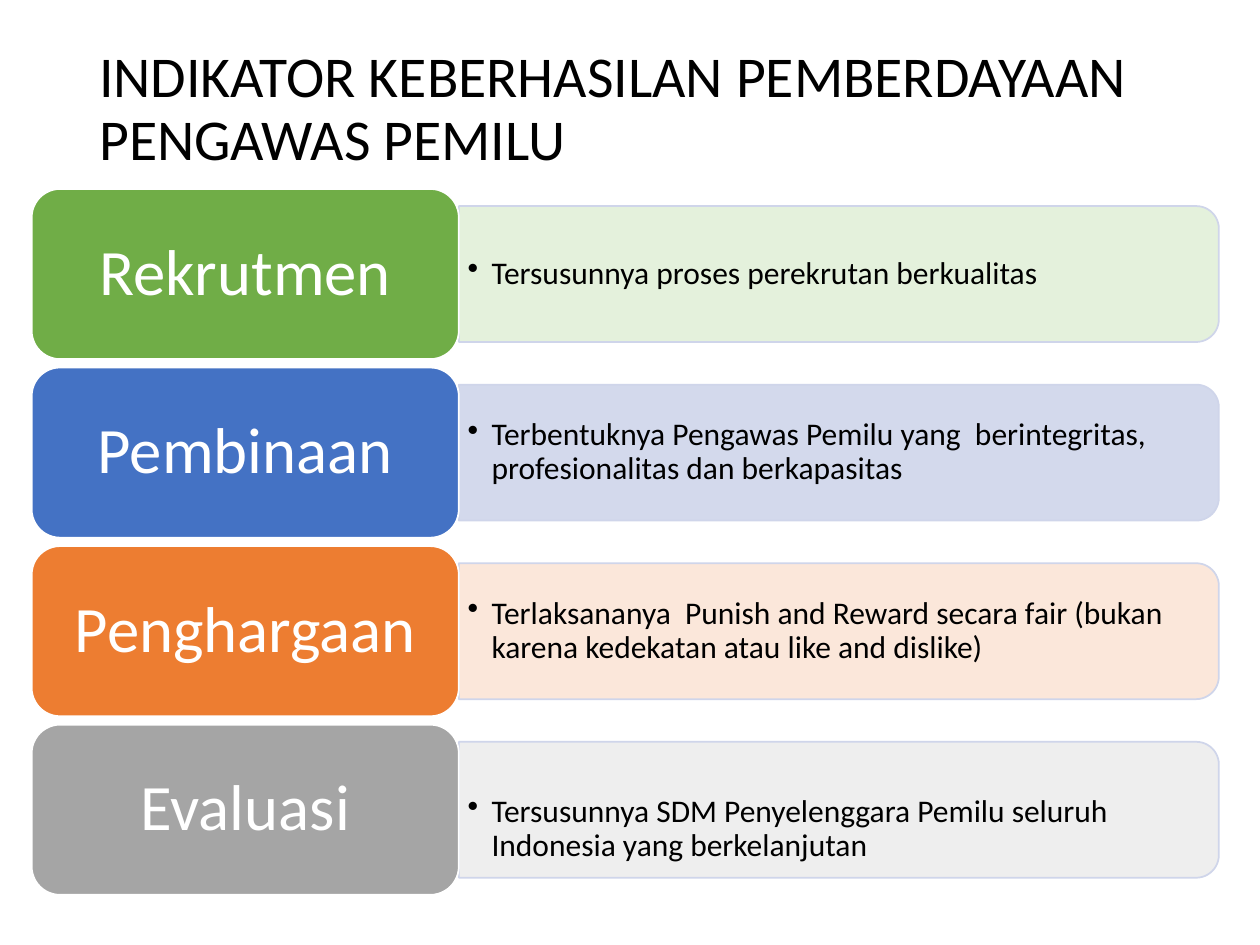
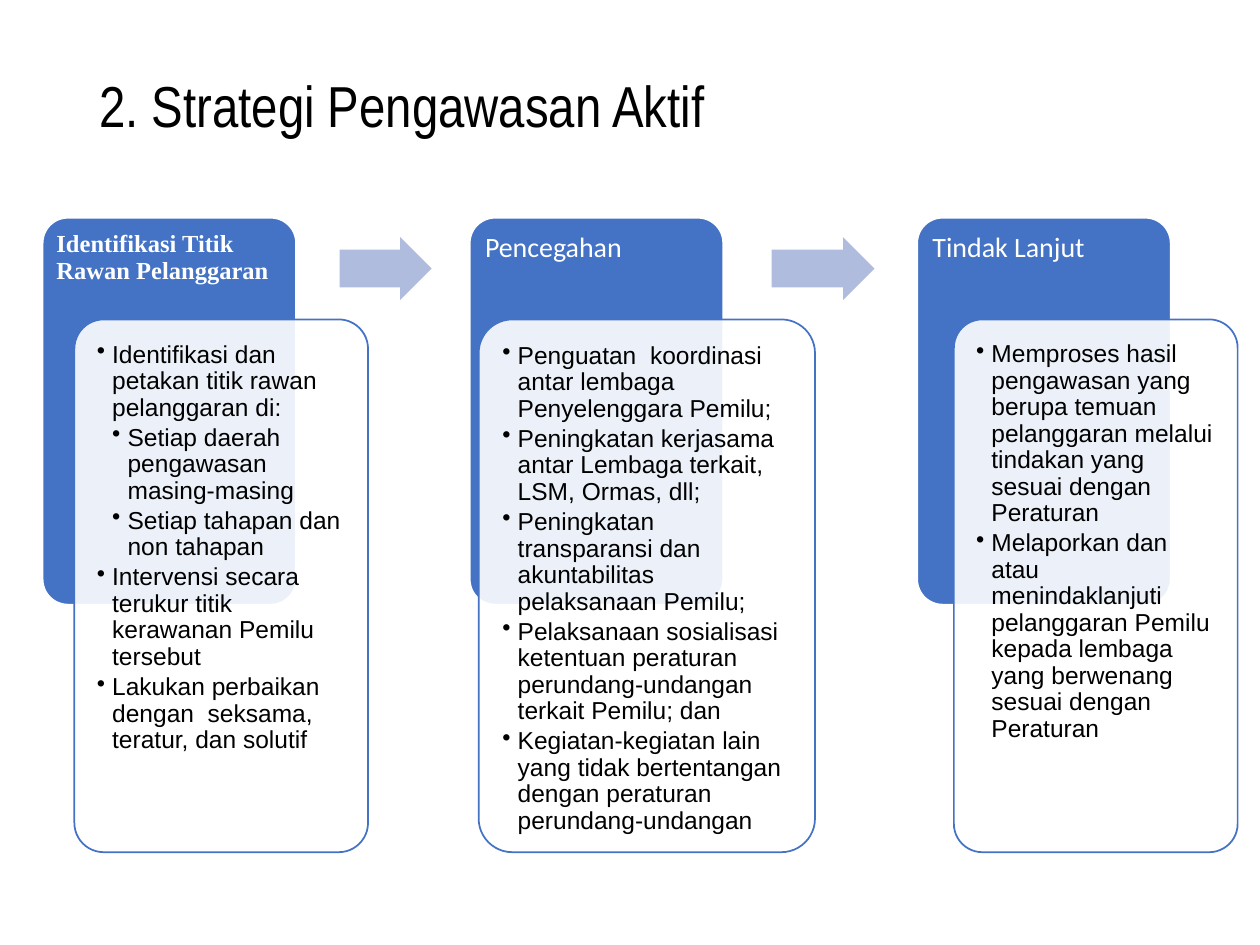
import pptx
import pptx.util
import pptx.dml.color
import pptx.oxml.ns
import pptx.enum.shapes
import pptx.enum.text
from lxml import etree

Cm = pptx.util.Cm
Pt = pptx.util.Pt
Shape = pptx.enum.shapes.MSO_SHAPE
Align = pptx.enum.text.PP_ALIGN
Anchor = pptx.enum.text.MSO_ANCHOR

COLOURS = {
    "text": "000000", "white": "FFFFFF", "blue": "4472C4", "pale blue": "CFD5EA",
    "arrow": "B0BCDE", "green": "70AD47", "pale green": "E2F0D9",
    "orange": "ED7D31", "pale orange": "FBE5D6", "grey": "A5A5A5", "pale grey": "EDEDED",
}


class Style:
    """Holds the shared style and the slide being filled."""

    def __init__(self, deck):
        self.deck = deck
        self.page = None

    def colour(self, name):
        return pptx.dml.color.RGBColor.from_string(COLOURS[name])

    def add_page(self, title, top, height, font="Calibri"):
        self.page = self.deck.slides.add_slide(self.deck.slide_layouts[5])
        box = self.page.shapes.title
        box.left, box.top, box.width, box.height = Cm(1.75), Cm(top), Cm(21.9), Cm(height)
        self.frame(box, 0.25, 0.13, Anchor.MIDDLE)
        self.fill_text(box, [title], 33, font=font)

    def frame(self, box, side, top, anchor=Anchor.TOP, bottom=None):
        frame = box.text_frame
        frame.word_wrap = True
        frame.auto_size = pptx.enum.text.MSO_AUTO_SIZE.NONE
        frame.vertical_anchor = anchor
        frame.margin_left = frame.margin_right = Cm(side)
        frame.margin_top = Cm(top)
        frame.margin_bottom = Cm(top if bottom is None else bottom)

    def fill_text(self, box, lines, size, font="Calibri", colour="text", bold=False,
                  align=Align.LEFT, indent=None):
        """Set the paragraphs; a (level, text) pair is nested, an indent adds bullets."""
        frame = box.text_frame
        for number, line in enumerate(lines):
            level, words = line if isinstance(line, tuple) else (0, line)
            para = frame.add_paragraph() if number else frame.paragraphs[0]
            para.text = words
            para.level = level
            para.alignment = align
            para.line_spacing = 0.9
            para.space_before = Pt(0)
            if indent:
                para.space_after = Pt(size * 0.15)
                self.bullet(para, indent, level)
            para.font.size = Pt(size)
            para.font.name = font
            para.font.bold = bold
            para.font.color.rgb = self.colour(colour)

    def bullet(self, para, indent, level):
        properties = para._p.get_or_add_pPr()
        properties.set("marL", str(Cm(indent * (level + 1))))
        properties.set("indent", str(-Cm(indent)))
        mark = etree.SubElement(properties, pptx.oxml.ns.qn("a:buChar"))
        mark.set("char", "•")

    def shape(self, kind, left, top, width, height, fill, line=None, adjust=()):
        shape = self.page.shapes.add_shape(kind, Cm(left), Cm(top), Cm(width), Cm(height))
        shape.shadow.inherit = False
        for number, value in enumerate(adjust):
            shape.adjustments[number] = value
        shape.fill.solid()
        shape.fill.fore_color.rgb = self.colour(fill)
        if line:
            shape.line.color.rgb = self.colour(line)
            shape.line.width = Pt(1)
        else:
            shape.line.fill.background()
        return shape

    def soften(self, shape):
        """Make the fill 90 % opaque."""
        fill = shape._element.spPr.find(pptx.oxml.ns.qn("a:solidFill"))
        alpha = etree.SubElement(fill[0], pptx.oxml.ns.qn("a:alpha"))
        alpha.set("val", "90000")

    def text_box(self, left, top, width, height):
        return self.page.shapes.add_textbox(Cm(left), Cm(top), Cm(width), Cm(height))

    def indicator_row(self, top, name, fill, pale, result, drop):
        tile_left, tile_width, tile_height = 0.64, 8.61, 3.43
        panel_left, panel_width, panel_height = tile_left + tile_width, 15.32, 2.74
        middle = top + tile_height / 2
        # Panel: an upright shape turned a quarter so its round corners face right
        panel = self.shape(Shape.ROUND_2_SAME_RECTANGLE,
                           panel_left + (panel_width - panel_height) / 2,
                           middle - panel_width / 2,
                           panel_height, panel_width, pale, "pale blue")
        panel.rotation = 90
        self.soften(panel)
        box = self.text_box(panel_left, middle - 1.23, 15.16, 2.46)
        self.frame(box, 0.18, 0.1 + drop, Anchor.MIDDLE, bottom=0.1)
        self.fill_text(box, [result], 18, indent=0.48)
        # Tile
        tile = self.shape(Shape.ROUNDED_RECTANGLE, tile_left, top, tile_width, tile_height,
                          fill, "white")
        self.frame(tile, 0.38, 0.2, Anchor.MIDDLE)
        self.fill_text(tile, [name], 37, colour="white", align=Align.CENTER)

    def step(self, left, width, name, card_left, card_width, items, margin, **look):
        header = self.shape(Shape.ROUNDED_RECTANGLE, left, 4.39, width, 7.8,
                            "blue", "white", [0.1])
        self.frame(header, margin, margin)
        self.fill_text(header, [name], colour="white", **look)
        card = self.shape(Shape.ROUNDED_RECTANGLE, card_left, 6.44, card_width, 10.74,
                          "white", "blue", [0.1])
        self.soften(card)
        self.frame(card, 0.28, 0.28)
        self.fill_text(card, items, 14, font="Arial", indent=0.31)

    def step_arrow(self, start, end):
        gap = end - start
        self.shape(Shape.RIGHT_ARROW, start + gap / 4, 4.78, gap * 0.53, 1.27,
                   "arrow", adjust=[0.6, 0.5])


def indicators_page(style):
    style.add_page("INDIKATOR KEBERHASILAN PEMBERDAYAAN PENGAWAS PEMILU", 0.64, 3.17)
    # Name, tile colour, panel colour, result, extra space above the result
    rows = [
        ("Rekrutmen", "green", "pale green", "Tersusunnya proses perekrutan berkualitas", 0),
        ("Pembinaan", "blue", "pale blue",
         "Terbentuknya Pengawas Pemilu yang  berintegritas, profesionalitas dan berkapasitas", 0),
        ("Penghargaan", "orange", "pale orange",
         "Terlaksananya  Punish and Reward secara fair "
         "(bukan karena kedekatan atau like and dislike)", 0),
        ("Evaluasi", "grey", "pale grey",
         "Tersusunnya SDM Penyelenggara Pemilu seluruh Indonesia yang berkelanjutan", 0.79),
    ]
    for number, row in enumerate(rows):
        style.indicator_row(3.81 + 3.6 * number, *row)


def strategy_page(style):
    style.add_page("2. Strategi Pengawasan Aktif", 1.02, 2.36, font="Arial Narrow")
    plain = {"size": 16, "margin": 0.16}
    serif = {"size": 14, "margin": 0.13, "font": "Times New Roman", "bold": True}
    header_width = 5.11
    # Header left, name, card left, card width, header look, items
    steps = [
        (0.86, "Identifikasi Titik Rawan Pelanggaran", 1.5, 5.92, serif, [
            "Identifikasi dan petakan titik rawan pelanggaran di:",
            (1, "Setiap daerah pengawasan masing-masing"),
            (1, "Setiap tahapan dan non tahapan"),
            "Intervensi secara terukur titik kerawanan Pemilu tersebut",
            "Lakukan perbaikan dengan  seksama, teratur, dan solutif",
        ]),
        (9.47, "Pencegahan", 9.65, 6.78, plain, [
            "Penguatan  koordinasi  antar lembaga Penyelenggara Pemilu;",
            "Peningkatan kerjasama antar Lembaga terkait, LSM, Ormas, dll;",
            "Peningkatan transparansi dan akuntabilitas pelaksanaan Pemilu;",
            "Pelaksanaan sosialisasi ketentuan peraturan perundang-undangan "
            "terkait Pemilu; dan",
            "Kegiatan-kegiatan lain yang tidak bertentangan dengan peraturan "
            "perundang-undangan",
        ]),
        (18.49, "Tindak Lanjut", 19.23, 5.72, plain, [
            "Memproses hasil pengawasan yang berupa temuan pelanggaran melalui "
            "tindakan yang sesuai dengan Peraturan",
            "Melaporkan dan atau menindaklanjuti  pelanggaran Pemilu kepada lembaga "
            "yang berwenang sesuai dengan Peraturan",
        ]),
    ]
    previous_end = None
    for left, name, card_left, card_width, look, items in steps:
        if previous_end is not None:
            style.step_arrow(previous_end, left)
        style.step(left, header_width, name, card_left, card_width, items, **look)
        previous_end = left + header_width


def main():
    deck = pptx.Presentation()
    deck.slide_width, deck.slide_height = Cm(25.4), Cm(19.05)
    style = Style(deck)
    indicators_page(style)
    strategy_page(style)
    deck.save("out.pptx")


if __name__ == "__main__":
    main()
